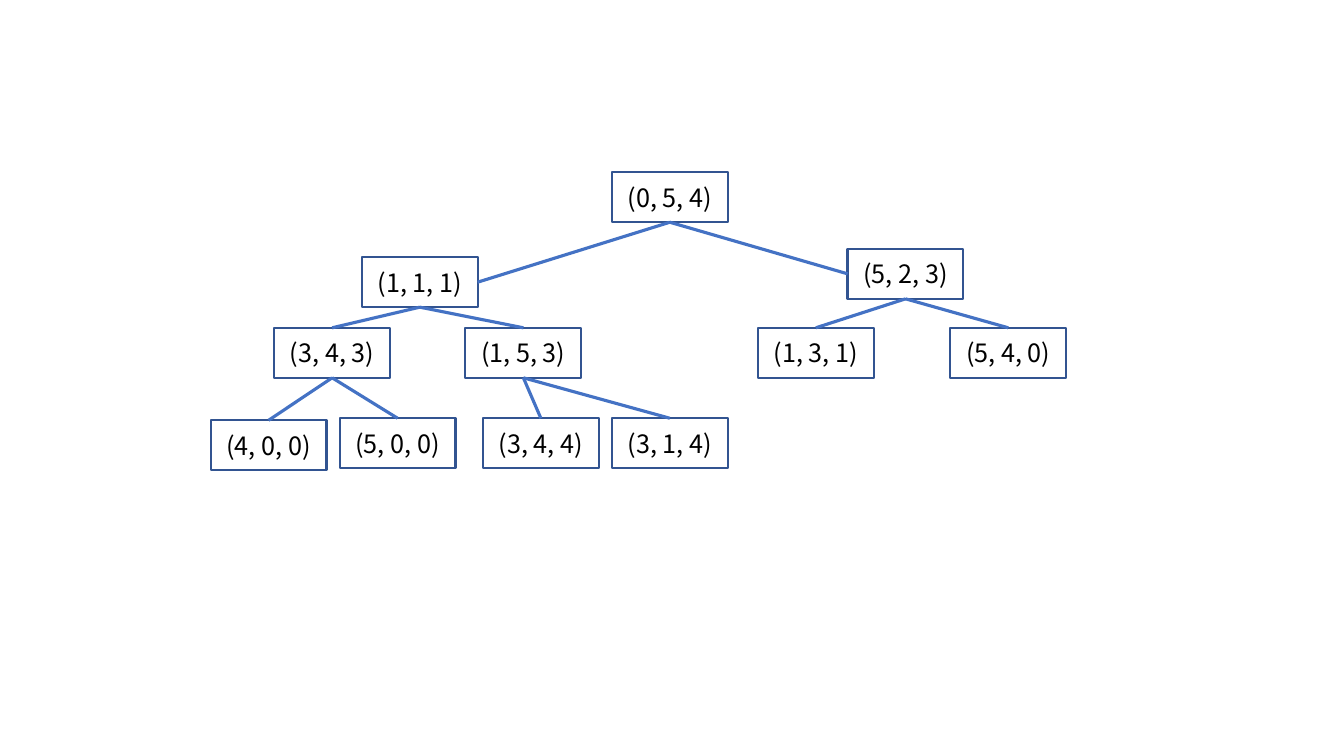
"""Draw a k-d tree of three-dimensional points."""
import pptx
import pptx.dml.color
import pptx.enum.shapes
import pptx.enum.text
import pptx.oxml
import pptx.util
from pptx.util import Cm

TOP, LEFT, BOTTOM, RIGHT = range(4)

NODES = [
    ("(0, 5, 4)", 15.42, 4.34, None, None),
    ("(1, 1, 1)", 9.12, 6.48, "(0, 5, 4)", RIGHT),
    ("(5, 2, 3)", 21.36, 6.27, "(0, 5, 4)", LEFT),
    ("(3, 4, 3)", 6.91, 8.26, "(1, 1, 1)", TOP),
    ("(1, 5, 3)", 11.73, 8.26, "(1, 1, 1)", TOP),
    ("(1, 3, 1)", 19.1, 8.26, "(5, 2, 3)", TOP),
    ("(5, 4, 0)", 23.95, 8.26, "(5, 2, 3)", TOP),
    ("(4, 0, 0)", 5.31, 10.59, "(3, 4, 3)", TOP),
    ("(5, 0, 0)", 8.56, 10.54, "(3, 4, 3)", TOP),
    ("(3, 4, 4)", 12.17, 10.54, "(1, 5, 3)", TOP),
    ("(3, 1, 4)", 15.42, 10.54, "(1, 5, 3)", TOP),
]


def rgb(value):
    return pptx.dml.color.RGBColor.from_string(value)


class TreeSlide:
    font, size, ink = "Noto Sans CJK KR", 18, "000000"
    border, edge_color = "325491", "4472C4"
    width, height = Cm(2.92), Cm(1.26)

    def __init__(self, prs):
        self.s = prs.slides.add_slide(prs.slide_layouts[6])

    def node(self, text, x, y):
        sp = self.s.shapes.add_shape(
            pptx.enum.shapes.MSO_SHAPE.RECTANGLE, Cm(x), Cm(y), self.width, self.height)
        sp.shadow.inherit = False
        sp.fill.background()
        sp.line.color.rgb = rgb(self.border)
        sp.line.width = pptx.util.Pt(1.5)
        tf = sp.text_frame
        tf.word_wrap = True
        tf.vertical_anchor = pptx.enum.text.MSO_ANCHOR.MIDDLE
        p = tf.paragraphs[0]
        p.alignment = pptx.enum.text.PP_ALIGN.CENTER
        r = p.add_run()
        r.text = text
        r.font.name = self.font
        r.font.size = pptx.util.Pt(self.size)
        r.font.color.rgb = rgb(self.ink)
        return sp

    def edge(self, parent, child, side):
        cxn = self.s.shapes.add_connector(
            pptx.enum.shapes.MSO_CONNECTOR.STRAIGHT, 0, 0, 0, 0)
        cxn.begin_connect(parent, BOTTOM)
        cxn.end_connect(child, side)
        cxn.line.color.rgb = rgb(self.edge_color)
        cxn.line.width = pptx.util.Pt(2.25)
        cxn._element.spPr.append(pptx.oxml.parse_xml(
            '<a:effectLst xmlns:a="http://schemas.openxmlformats.org/drawingml/2006/main"/>'))


def main():
    prs = pptx.Presentation()
    prs.slide_width, prs.slide_height = Cm(33.87), Cm(19.05)
    tree = TreeSlide(prs)
    boxes = {text: tree.node(text, x, y) for text, x, y, _, _ in NODES}
    for text, _, _, parent, side in NODES:
        if parent:
            tree.edge(boxes[parent], boxes[text], side)
    prs.save("out.pptx")


if __name__ == "__main__":
    main()
